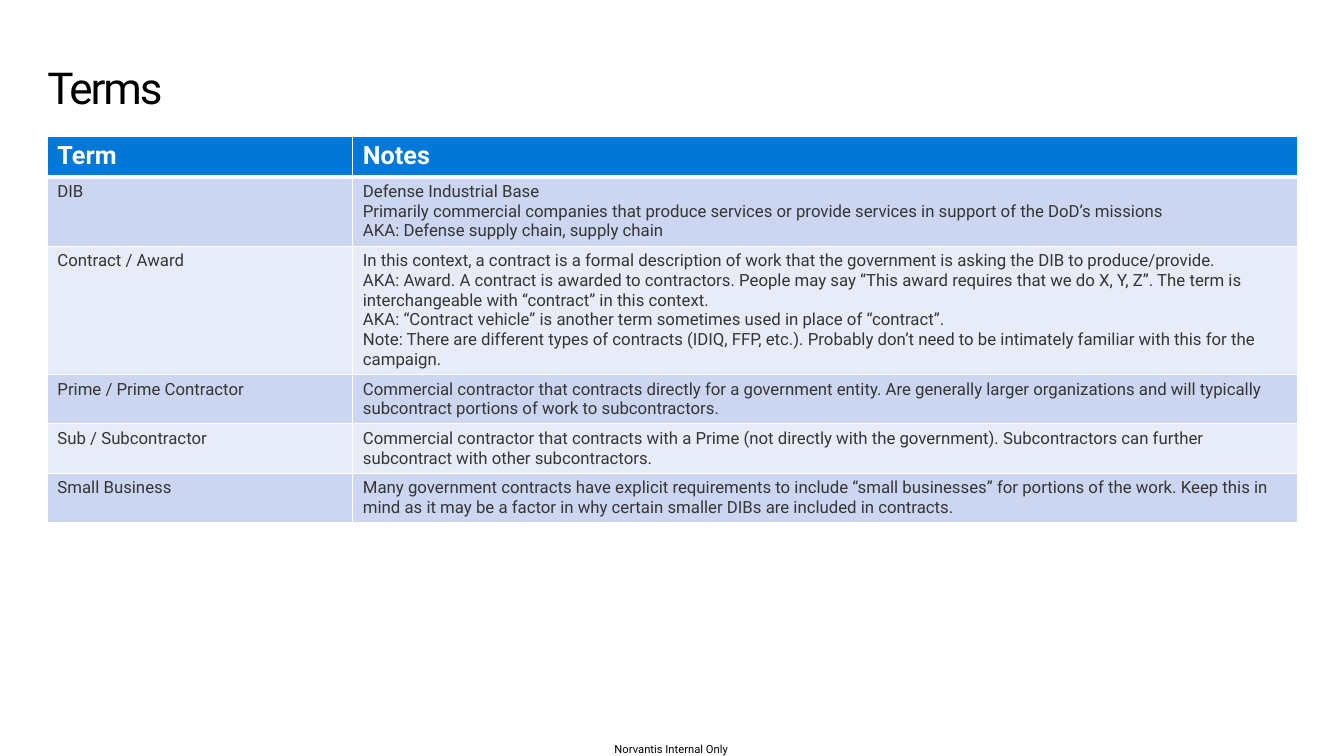
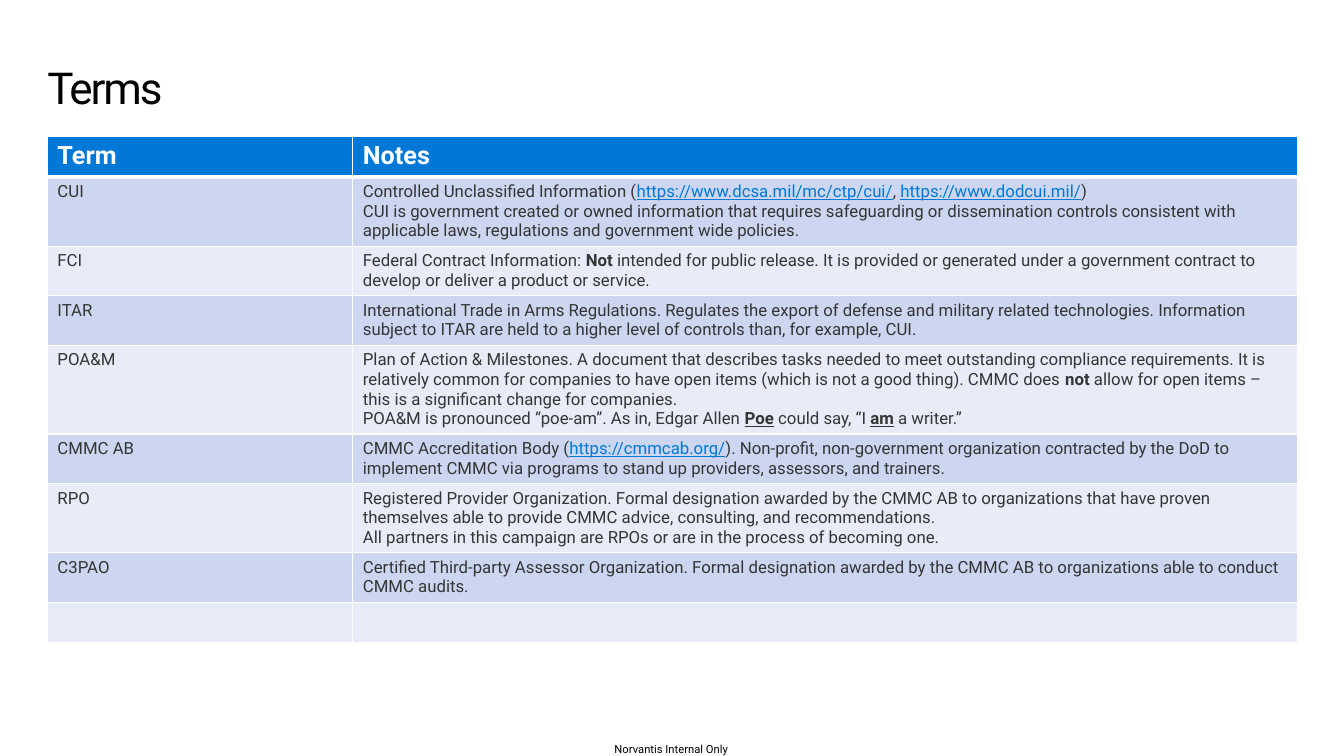
from lxml import etree
from pptx import Presentation
from pptx.dml.color import RGBColor
from pptx.enum.text import MSO_ANCHOR, MSO_AUTO_SIZE, PP_ALIGN
from pptx.oxml.ns import qn
from pptx.util import Pt

LEFT, CENTER = PP_ALIGN.LEFT, PP_ALIGN.CENTER
TOP = MSO_ANCHOR.TOP
NO_AUTOFIT = MSO_AUTO_SIZE.NONE
TITLE_ONLY = 5

# Shared look
FONT = "Roboto"
BLACK = RGBColor(0x00, 0x00, 0x00)
WHITE = RGBColor(0xFF, 0xFF, 0xFF)
GRAY = RGBColor(0x35, 0x35, 0x35)
BLUE = RGBColor(0x00, 0x78, 0xD7)
BANDS = [RGBColor(0xCC, 0xD6, 0xF0), RGBColor(0xE7, 0xEC, 0xF8)]

# Shared places, in points: left, top, width, height
TITLE_AREA = (33.84, 34.56, 892.8, 58.5)
FOOTER_AREA = (422.64, 531.2, 113.76, 8.8)
TABLE_LEFT, TABLE_TOP = 33.84, 97.2
COLUMN_WIDTHS = (218.2, 674.6)
ROW_HEIGHT = 29.2

TITLE = "Terms"
FOOTER = "Norvantis Internal Only"
HEADINGS = ("Term", "Notes")

# Run styles: bold, underline, colour
LINK = (False, True, BLUE)
BOLD = (True, False, GRAY)
STRESSED = (True, True, GRAY)

# Each row is a term and its note paragraphs. A paragraph is a string,
# or a list of strings and (text, style) pairs.
CONTRACT_TERMS = [
    ("DIB", [
        "Defense Industrial Base",
        "Primarily commercial companies that produce services or provide services in "
        "support of the DoD’s missions",
        "AKA: Defense supply chain, supply chain"]),
    ("Contract / Award", [
        "In this context, a contract is a formal description of work that the government "
        "is asking the DIB to produce/provide.",
        "AKA: Award. A contract is awarded to contractors. People may say “This award "
        "requires that we do X, Y, Z”. The term is interchangeable with “contract” in "
        "this context.",
        "AKA: “Contract vehicle” is another term sometimes used in place of “contract”.",
        "Note: There are different types of contracts (IDIQ, FFP, etc.). Probably don’t "
        "need to be intimately familiar with this for the campaign."]),
    ("Prime / Prime Contractor", [
        "Commercial contractor that contracts directly for a government entity. Are "
        "generally larger organizations and will typically subcontract portions of work "
        "to subcontractors."]),
    ("Sub / Subcontractor", [
        "Commercial contractor that contracts with a Prime (not directly with the "
        "government). Subcontractors can further subcontract with other subcontractors."]),
    ("Small Business", [
        "Many government contracts have explicit requirements to include “small "
        "businesses” for portions of the work. Keep this in mind as it may be a factor "
        "in why certain smaller DIBs are included in contracts."]),
]

COMPLIANCE_TERMS = [
    ("CUI", [
        ["Controlled Unclassified Information (",
         ("https://www.dcsa.mil/mc/ctp/cui/", LINK), ", ",
         ("https://www.dodcui.mil/", LINK), ")"],
        "CUI is government created or owned information that requires safeguarding or "
        "dissemination controls consistent with applicable laws, regulations and "
        "government wide policies."]),
    ("FCI", [
        ["Federal Contract Information: ", ("Not", BOLD),
         " intended for public release. It is provided or generated under a government "
         "contract to develop or deliver a product or service."]]),
    ("ITAR", [
        "International Trade in Arms Regulations. Regulates the export of defense and "
        "military related technologies. Information subject to ITAR are held to a higher "
        "level of controls than, for example, CUI."]),
    ("POA&M", [
        ["Plan of Action & Milestones. A document that describes tasks needed to meet "
         "outstanding compliance requirements. It is relatively common for companies to "
         "have open items (which is not a good thing). CMMC does ", ("not", BOLD),
         " allow for open items – this is a significant change for companies."],
        ["POA&M is pronounced “poe-am”. As in, Edgar Allen ", ("Poe", STRESSED),
         " could say, “I ", ("am", STRESSED), " a writer.”"]]),
    ("CMMC AB", [
        ["CMMC Accreditation Body (", ("https://cmmcab.org/", LINK),
         "). Non-profit, non-government organization contracted by the DoD to implement "
         "CMMC via programs to stand up providers, assessors, and trainers."]]),
    ("RPO", [
        "Registered Provider Organization. Formal designation awarded by the CMMC AB to "
        "organizations that have proven themselves able to provide CMMC advice, "
        "consulting, and recommendations.",
        "All partners in this campaign are RPOs or are in the process of becoming one."]),
    ("C3PAO", [
        "Certified Third-party Assessor Organization. Formal designation awarded by the "
        "CMMC AB to organizations able to conduct CMMC audits."]),
    ("", [""]),
]


def set_font(font, size, color, bold=False):
    font.name, font.size, font.bold = FONT, Pt(size), bold
    font.color.rgb = color


def fill_line(box, area, text, size, align, top_inset=0):
    """Place a one-line title or footer and set its text."""
    box.left, box.top, box.width, box.height = map(Pt, area)
    frame = box.text_frame
    frame.word_wrap, frame.auto_size = True, NO_AUTOFIT
    frame.vertical_anchor = TOP
    frame.margin_left = frame.margin_right = frame.margin_bottom = 0
    frame.margin_top = Pt(top_inset)
    para = frame.paragraphs[0]
    para.text, para.alignment, para.line_spacing = text, align, 0.9
    set_font(para.font, size, BLACK)
    return para


def add_spans(para, content):
    for part in [content] if isinstance(content, str) else content:
        text, style = (part, None) if isinstance(part, str) else part
        if not text:
            continue
        span = para.add_run()
        span.text = text
        if style:
            span.font.bold, span.font.underline, span.font.color.rgb = style


def set_borders(cell, bottom_width):
    properties = cell._tc.get_or_add_tcPr()
    for side, width in (("L", 1), ("R", 1), ("T", 1), ("B", bottom_width)):
        line = etree.SubElement(properties, qn(f"a:ln{side}"), w=str(Pt(width)))
        solid = etree.SubElement(line, qn("a:solidFill"))
        etree.SubElement(solid, qn("a:srgbClr"), val=str(WHITE))


def fill_cell(cell, paragraphs, fill, size, color, bold=False, bottom_width=1):
    set_borders(cell, bottom_width)
    cell.fill.solid()
    cell.fill.fore_color.rgb = fill
    frame = cell.text_frame
    for index, content in enumerate(paragraphs):
        para = frame.add_paragraph() if index else frame.paragraphs[0]
        set_font(para.font, size, color, bold)
        add_spans(para, content)


def add_terms_table(slide, terms):
    row_count = len(terms) + 1
    table = slide.shapes.add_table(
        row_count, len(HEADINGS), Pt(TABLE_LEFT), Pt(TABLE_TOP),
        Pt(sum(COLUMN_WIDTHS)), Pt(ROW_HEIGHT * row_count)).table
    for column, width in zip(table.columns, COLUMN_WIDTHS):
        column.width = Pt(width)
    for row in table.rows:
        row.height = Pt(ROW_HEIGHT)
    for column, heading in enumerate(HEADINGS):
        fill_cell(table.cell(0, column), [heading], BLUE, 18, WHITE, True, 3)
    for index, (term, notes) in enumerate(terms):
        for column, paragraphs in enumerate(([term], notes)):
            fill_cell(table.cell(index + 1, column), paragraphs,
                      BANDS[index % len(BANDS)], 12, GRAY)


def add_terms_slide(deck, terms):
    slide = deck.slides.add_slide(deck.slide_layouts[TITLE_ONLY])
    title = fill_line(slide.shapes.title, TITLE_AREA, TITLE, 31.4, LEFT, 13)
    title.runs[0]._r.get_or_add_rPr().set("spc", "-150")  # tight letter spacing
    add_terms_table(slide, terms)
    footer = slide.shapes.add_textbox(*map(Pt, FOOTER_AREA))
    fill_line(footer, FOOTER_AREA, FOOTER, 8, CENTER)


def main():
    deck = Presentation()
    deck.slide_width, deck.slide_height = Pt(960), Pt(540)
    for terms in (CONTRACT_TERMS, COMPLIANCE_TERMS):
        add_terms_slide(deck, terms)
    deck.save("out.pptx")


if __name__ == "__main__":
    main()
